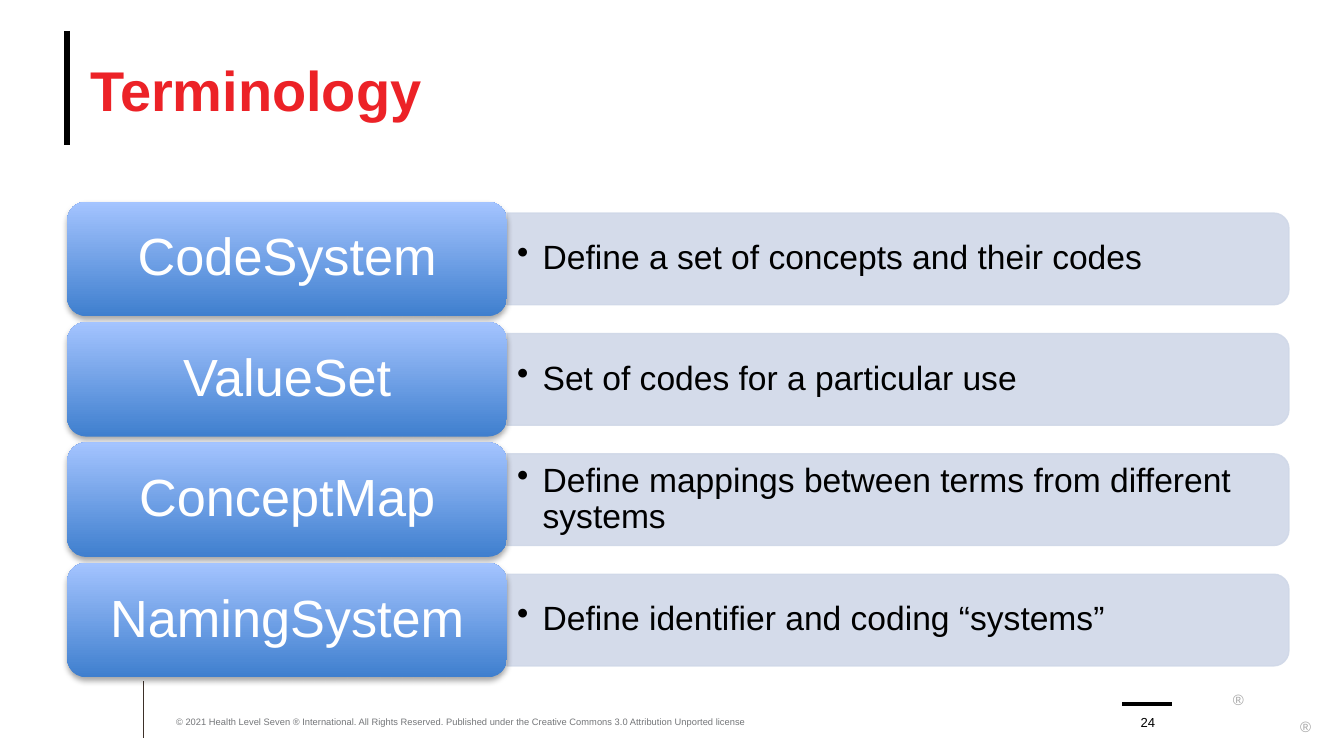
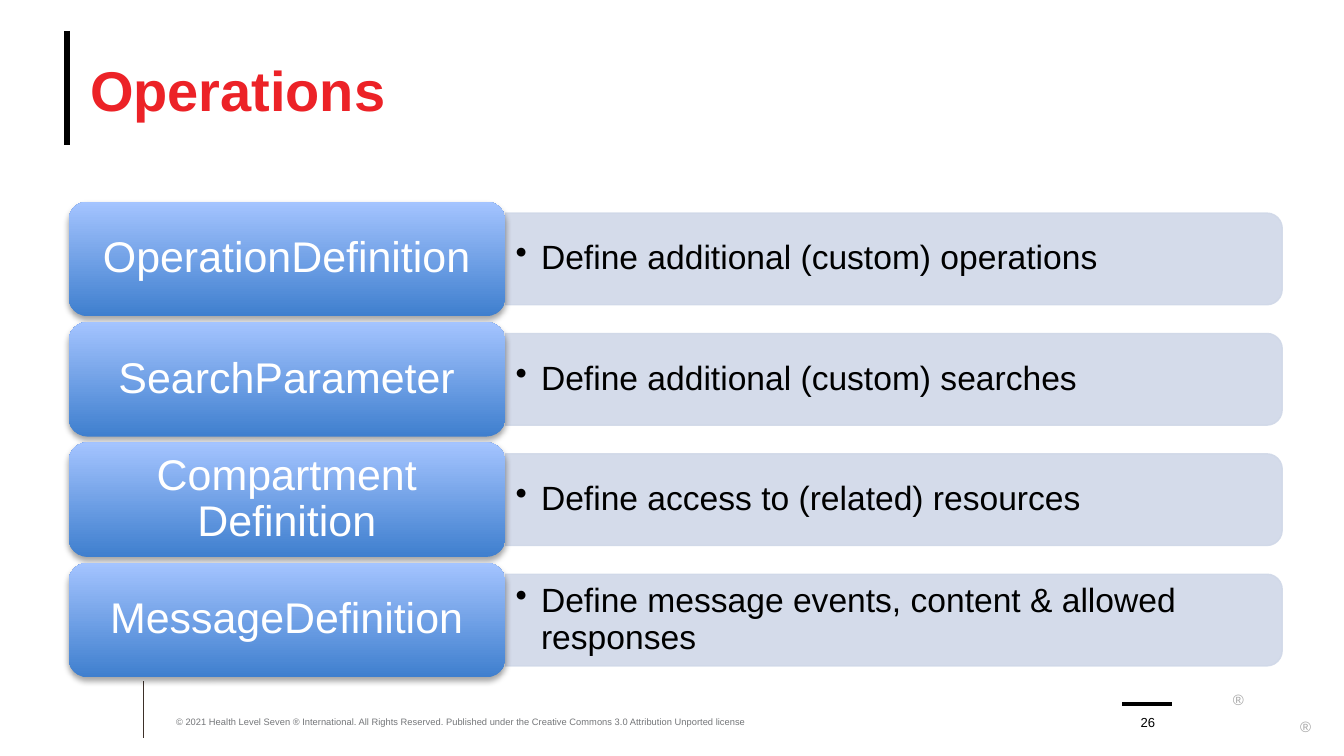
from dataclasses import dataclass
from typing import NamedTuple

from lxml.etree import SubElement
from pptx import Presentation
from pptx.dml.color import RGBColor
from pptx.enum.shapes import MSO_CONNECTOR, MSO_SHAPE
from pptx.enum.text import MSO_ANCHOR, PP_ALIGN
from pptx.oxml.ns import qn
from pptx.util import Inches, Pt

COLUMNS, ROWS = 100, 56.25
COPYRIGHT = (
    "© 2021 Health Level Seven ® International. All Rights Reserved. "
    "Published under the Creative Commons 3.0 Attribution Unported license"
)


@dataclass(frozen=True)
class Theme:
    font: str = "Arial"
    title: str = "EC2227"
    ink: str = "000000"
    footer_rule: str = "3D3029"
    copyright: str = "747679"
    mark: str = "A6A6A6"
    band: str = "D0D8E8"
    card_bottom: str = "3F7FCE"
    card_top: str = "A4C4FF"
    card_text: str = "FFFFFF"
    title_size: int = 30
    meaning_size: int = 18
    mark_size: int = 8
    number_size: int = 7
    copyright_size: int = 5


THEME = Theme()


class Area(NamedTuple):
    """A rectangle in grid columns and rows."""
    left: float
    top: float
    width: float
    height: float

    def emu(self) -> tuple:
        return tuple(map(grid, self))

    def inset(self, margin: float) -> "Area":
        return Area(self.left + margin, self.top + margin,
                    self.width - 2 * margin, self.height - 2 * margin)


class Rule(NamedTuple):
    start: tuple[float, float]
    end: tuple[float, float]
    color: str
    weight: float


class Style(NamedTuple):
    size: float
    color: str
    bold: bool = False
    align: PP_ALIGN = PP_ALIGN.LEFT
    anchor: MSO_ANCHOR = MSO_ANCHOR.MIDDLE
    padding: tuple[float, float] = (0, 0)
    wrap: bool = True
    line_spacing: float | None = None
    space_after: int = 0
    bullet: bool = False


class Resource(NamedTuple):
    name: str
    meaning: str


@dataclass(frozen=True)
class Topic:
    title: str
    number: int
    left: float
    width: float
    name_size: int
    resources: tuple[Resource, ...]


RULES = (
    Rule((5, 2.3), (5, 10.8), THEME.ink, 3.25),
    Rule((10.7, 50.7), (10.7, 54.9), THEME.footer_rule, 0.5),
    Rule((83.5, 52.4), (87.2, 52.4), THEME.ink, 2),
)
MARKS = (Area(91.6, 51, 1.1, 0.9), Area(96.7, 53, 0.9, 0.9))
TITLE_AREA = Area(6.7, 2.3, 90, 8.6)
COPYRIGHT_AREA = Area(13.1, 52.4, 49.5, 1.7)
NUMBER_AREA = Area(83.9, 52.4, 3, 1.9)

LIST_TOP, LIST_HEIGHT = 15, 35.4
CARD_SHARE, BAND_SHARE, GAP_SHARE = 0.36, 0.8, 0.05
CARD_MARGIN, BAND_MARGIN = 0.4, 0.3
BULLET_INDENT = 1.9

TITLE = Style(THEME.title_size, THEME.title, bold=True)
COPYRIGHT_STYLE = Style(THEME.copyright_size, THEME.copyright, anchor=MSO_ANCHOR.BOTTOM)
NUMBER = Style(THEME.number_size, THEME.ink, align=PP_ALIGN.CENTER, anchor=MSO_ANCHOR.BOTTOM)
MARK = Style(THEME.mark_size, THEME.mark, align=PP_ALIGN.CENTER,
             anchor=MSO_ANCHOR.TOP, padding=(0, 3.6), wrap=False)

TOPICS = (
    Topic("Terminology", 24, 5, 90.9, 28, (
        Resource("CodeSystem", "Define a set of concepts and their codes"),
        Resource("ValueSet", "Set of codes for a particular use"),
        Resource("ConceptMap", "Define mappings between terms from different systems"),
        Resource("NamingSystem", "Define identifier and coding “systems”"),
    )),
    Topic("Operations", 26, 5.1, 90.3, 23, (
        Resource("OperationDefinition", "Define additional (custom) operations"),
        Resource("SearchParameter", "Define additional (custom) searches"),
        Resource("Compartment Definition", "Define access to (related) resources"),
        Resource("MessageDefinition", "Define message events, content & allowed responses"),
    )),
)


def grid(units: float) -> int:
    """Columns and rows are both a tenth of an inch."""
    return Inches(units / 10)


def rgb(color: str) -> RGBColor:
    return RGBColor.from_string(color)


def padding_for(size: float) -> tuple[float, float]:
    """Padding in points, in proportion to the type size."""
    return 0.3 * size, 0.15 * size


def add_alpha(fill_parent, percent: int) -> None:
    color = fill_parent.find(qn("a:solidFill"))[0]
    SubElement(color, qn("a:alpha"), val=str(percent * 1000))


def draw_rule(slide, rule: Rule) -> None:
    line = slide.shapes.add_connector(
        MSO_CONNECTOR.STRAIGHT, *map(grid, rule.start + rule.end))
    line.line.color.rgb = rgb(rule.color)
    line.line.width = Pt(rule.weight)
    SubElement(line._element.spPr, qn("a:effectLst"))


def write(slide, area: Area, words: str, style: Style) -> None:
    frame = slide.shapes.add_textbox(*area.emu()).text_frame
    frame.word_wrap = style.wrap
    frame.vertical_anchor = style.anchor
    frame.margin_left = frame.margin_right = Pt(style.padding[0])
    frame.margin_top = frame.margin_bottom = Pt(style.padding[1])

    paragraph = frame.paragraphs[0]
    paragraph.alignment = style.align
    if style.line_spacing:
        paragraph.line_spacing = style.line_spacing
    properties = paragraph._p.get_or_add_pPr()
    if style.space_after:
        after = SubElement(properties, qn("a:spcAft"))
        SubElement(after, qn("a:spcPct"), val=str(style.space_after * 1000))
    if style.bullet:
        paragraph.level = 1
        properties.set("marL", str(grid(BULLET_INDENT)))
        properties.set("indent", str(-grid(BULLET_INDENT)))
        SubElement(properties, qn("a:buChar"), char="•")

    run = paragraph.add_run()
    run.text = words
    run.font.name = THEME.font
    run.font.size = Pt(style.size)
    run.font.bold = style.bold
    run.font.color.rgb = rgb(style.color)


def draw_band(slide, area: Area) -> None:
    """Turn a top-rounded rectangle so that its round corners face right."""
    upright = Area(area.left + (area.width - area.height) / 2,
                   area.top + (area.height - area.width) / 2,
                   area.height, area.width)
    band = slide.shapes.add_shape(MSO_SHAPE.ROUND_2_SAME_RECTANGLE, *upright.emu())
    band.rotation = 90
    band.shadow.inherit = False
    band.fill.solid()
    band.fill.fore_color.rgb = band.line.color.rgb = rgb(THEME.band)
    band.line.width = Pt(0.75)
    properties = band._element.spPr
    for parent in (properties, properties.find(qn("a:ln"))):
        add_alpha(parent, 90)


def draw_card(slide, area: Area) -> None:
    card = slide.shapes.add_shape(MSO_SHAPE.ROUNDED_RECTANGLE, *area.emu())
    card.fill.gradient()
    card.fill.gradient_angle = 90
    for stop, color in zip(card.fill.gradient_stops, (THEME.card_bottom, THEME.card_top)):
        stop.color.rgb = rgb(color)
    card.line.fill.background()
    card.shadow.inherit = False
    effects = card._element.spPr.find(qn("a:effectLst"))
    shadow = SubElement(effects, qn("a:outerShdw"), blurRad=str(Pt(3.1)),
                        dist=str(Pt(1.8)), dir="5400000", rotWithShape="0")
    color = SubElement(shadow, qn("a:srgbClr"), val=THEME.ink)
    SubElement(color, qn("a:alpha"), val="35000")


def draw_resources(slide, topic: Topic) -> None:
    count = len(topic.resources)
    card_height = LIST_HEIGHT / (count + (count - 1) * GAP_SHARE)
    card_width = topic.width * CARD_SHARE
    band_height = card_height * BAND_SHARE
    name_style = Style(topic.name_size, THEME.card_text, align=PP_ALIGN.CENTER,
                       padding=padding_for(topic.name_size),
                       line_spacing=0.9, space_after=35)
    meaning_style = Style(THEME.meaning_size, THEME.ink,
                          padding=padding_for(THEME.meaning_size),
                          line_spacing=0.9, space_after=15, bullet=True)
    for index, resource in enumerate(topic.resources):
        top = LIST_TOP + index * card_height * (1 + GAP_SHARE)
        card = Area(topic.left, top, card_width, card_height)
        band = Area(topic.left + card_width, top + (card_height - band_height) / 2,
                    topic.width - card_width, band_height)
        meaning = Area(band.left, band.top + BAND_MARGIN,
                       band.width - BAND_MARGIN, band.height - 2 * BAND_MARGIN)
        draw_band(slide, band)
        write(slide, meaning, resource.meaning, meaning_style)
        draw_card(slide, card)
        write(slide, card.inset(CARD_MARGIN), resource.name, name_style)


def draw_frame(slide, topic: Topic) -> None:
    """Draw the rules, title and footer that every slide shares."""
    for rule in RULES:
        draw_rule(slide, rule)
    for area in MARKS:
        write(slide, area, "®", MARK)
    write(slide, TITLE_AREA, topic.title, TITLE)
    write(slide, COPYRIGHT_AREA, COPYRIGHT, COPYRIGHT_STYLE)
    write(slide, NUMBER_AREA, str(topic.number), NUMBER)


def main() -> None:
    deck = Presentation()
    deck.slide_width, deck.slide_height = grid(COLUMNS), grid(ROWS)
    blank = deck.slide_layouts[6]
    for topic in TOPICS:
        slide = deck.slides.add_slide(blank)
        draw_frame(slide, topic)
        draw_resources(slide, topic)
    deck.save("out.pptx")


if __name__ == "__main__":
    main()
